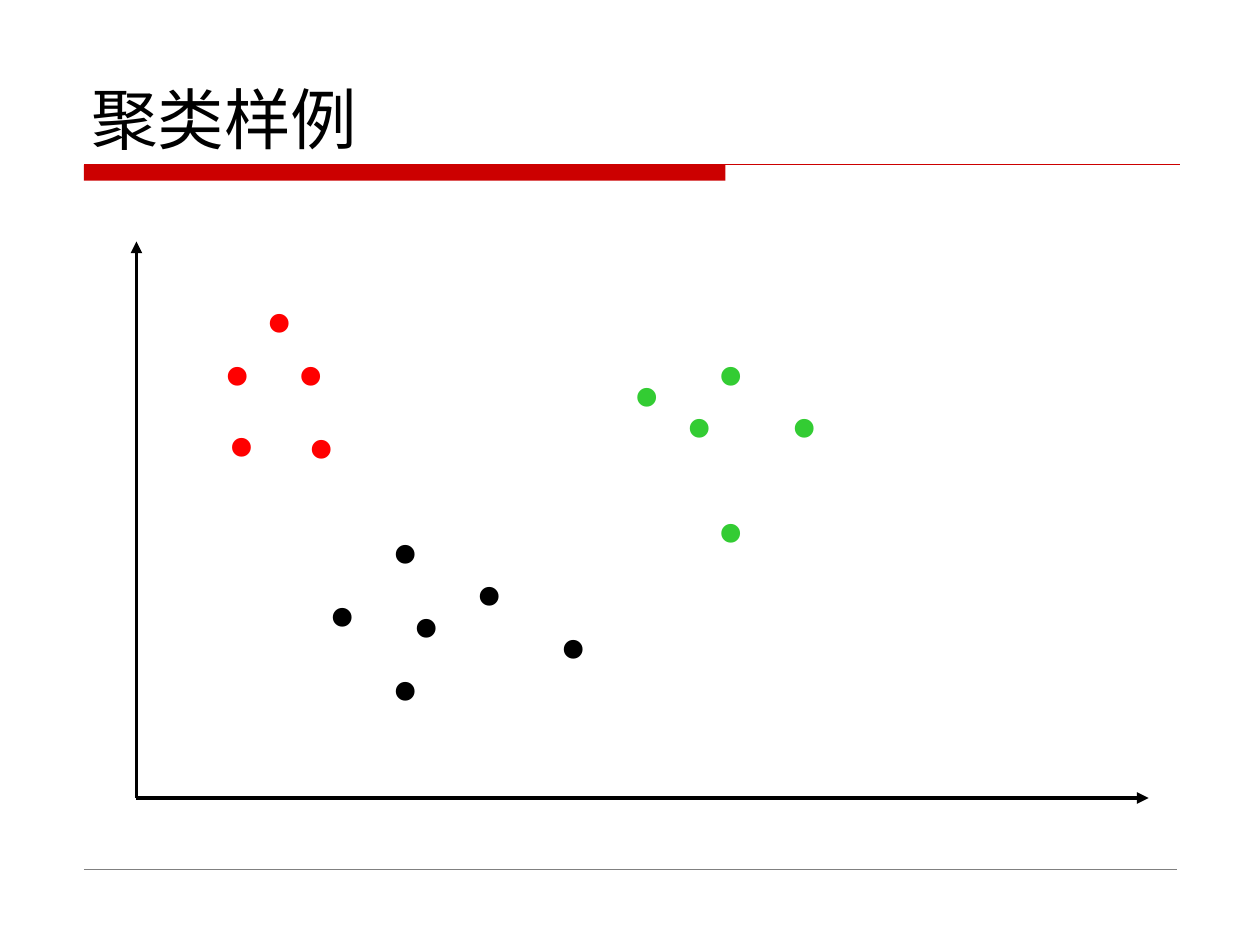
"""Build a slide showing three clusters of points between two axes."""
from lxml import etree
from pptx import Presentation, util as u
from pptx.dml.color import RGBColor
from pptx.enum import shapes, text
from pptx.oxml.ns import qn

THEME = {
    "ink": "000000", "accent": "CC0000", "footer": "808080",
    "red": "FF0000", "green": "33CC33",
    "title_font": "DejaVu Sans", "title_size": 38,
    "point_font": "Times New Roman", "point_size": 66,
}

deck = Presentation()
deck.slide_width, deck.slide_height = u.Inches(10), u.Inches(7.5)
CELL = deck.slide_width / 120


def grid(*cells):
    return [round(CELL * cell) for cell in cells]


def draw_line(parent, ends, color, width, arrow=False):
    line = parent.add_connector(shapes.MSO_CONNECTOR.STRAIGHT, *grid(*ends))
    line.line.color.rgb = RGBColor.from_string(THEME[color])
    line.line.width = u.Pt(width)
    if arrow:
        etree.SubElement(line.line._get_or_add_ln(), qn("a:tailEnd"), type="triangle")
    etree.SubElement(line._element.spPr, qn("a:effectLst"))


slide = deck.slides.add_slide(deck.slide_layouts[5])

LEFT, RULE_Y = 8, 15.7
title_bar = slide.shapes.add_shape(
    shapes.MSO_SHAPE.RECTANGLE, *grid(LEFT, RULE_Y, 61.1, 1.5))
title_bar.shadow.inherit = False
title_bar.fill.solid()
title_bar.fill.fore_color.rgb = RGBColor.from_string(THEME["accent"])
title_bar.line.fill.background()
draw_line(slide.shapes, (LEFT, RULE_Y, 112.4, RULE_Y), "accent", 0.75)
draw_line(slide.shapes, (LEFT, 82.8, 112.1, 82.8), "footer", 0.25)

title = slide.shapes.title
title.left, title.top, title.width, title.height = grid(7.5, -0.4, 105, 16)
title.text_frame.text = "聚类样例"
title.text_frame.vertical_anchor = text.MSO_ANCHOR.BOTTOM
heading = title.text_frame.paragraphs[0]
heading.alignment = text.PP_ALIGN.LEFT
heading_font = heading.runs[0].font
heading_font.name = THEME["title_font"]
heading_font.size = u.Pt(THEME["title_size"])
heading_font.color.rgb = RGBColor.from_string(THEME["ink"])

axes = slide.shapes.add_group_shape().shapes
ORIGIN = (13, 76)
for tip in ((13, 23), (109.4, 76)):
    draw_line(axes, ORIGIN + tip, "ink", 2.25, arrow=True)

clusters = {
    "red": [(20.4, 31.8), (20, 25), (28, 32), (27, 25), (24, 20)],
    "ink": [(30, 48), (44, 46), (36, 55), (52, 51), (38, 49), (36, 42)],
    "green": [(59, 27), (74, 30), (64, 30), (67, 25), (67, 40)],
}
points = slide.shapes.add_group_shape().shapes
for color, places in clusters.items():
    for column, row in places:
        point = points.add_textbox(*grid(column, row, 5.2, 14.4)).text_frame
        point.word_wrap = False
        point.auto_size = text.MSO_AUTO_SIZE.SHAPE_TO_FIT_TEXT
        point.text = "."
        dot = point.paragraphs[0]
        dot.alignment = text.PP_ALIGN.CENTER
        dot_font = dot.runs[0].font
        dot_font.name = THEME["point_font"]
        dot_font.size = u.Pt(THEME["point_size"])
        dot_font.bold = True
        dot_font.color.rgb = RGBColor.from_string(THEME[color])

deck.save("out.pptx")
